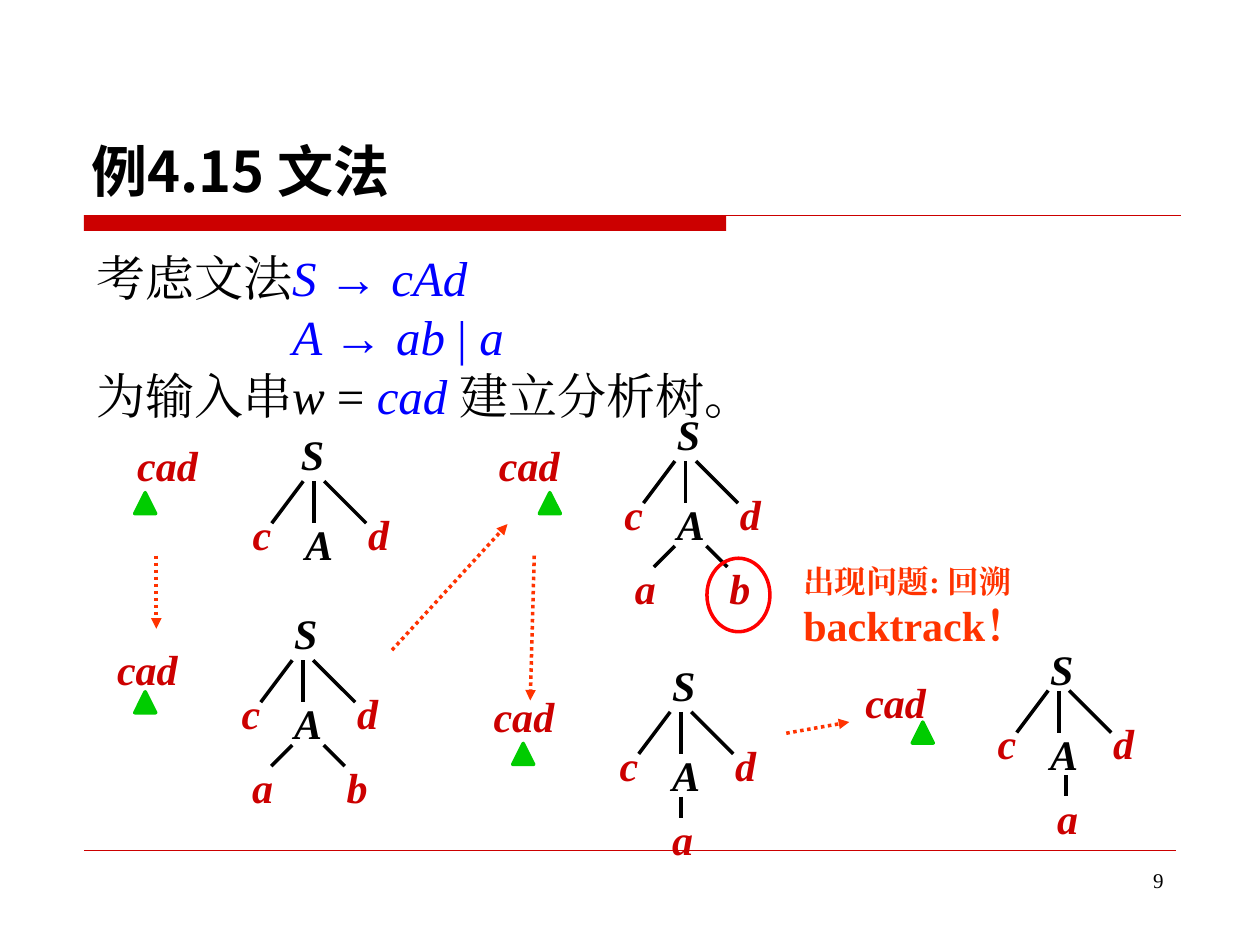
"""Build the slide on parsing the string cad with backtracking."""
from lxml.etree import SubElement
from pptx import Presentation
from pptx.dml.color import RGBColor
from pptx.enum.dml import MSO_LINE
from pptx.enum.shapes import MSO_CONNECTOR, MSO_SHAPE
from pptx.enum.text import MSO_ANCHOR, PP_ALIGN
from pptx.oxml.ns import qn
from pptx.util import Pt

BLACK, RED, BLUE, GREEN, ORANGE = "000000", "CC0000", "0000FF", "00CC00", "FF3300"


def colour(value):
    return RGBColor.from_string(value)


class Board:
    serif, sans, symbols = "Times New Roman", "Noto Sans CJK SC", "Arial"

    def __init__(self, slide):
        self.slide = slide

    def style(self, run, size, ink, bold=False, italic=False, face=serif):
        font = run.font
        font.size, font.bold, font.italic, font.name = Pt(size), bold, italic, face
        font.color.rgb = colour(ink)
        SubElement(run.font._element, qn("a:ea")).set("typeface", face)

    def text(self, left, top, width, height, paragraphs, align=PP_ALIGN.LEFT, anchor=MSO_ANCHOR.TOP):
        box = self.slide.shapes.add_textbox(Pt(left), Pt(top), Pt(width), Pt(height))
        frame = box.text_frame
        frame.word_wrap = True
        frame.vertical_anchor = anchor
        for index, (indent, runs) in enumerate(paragraphs):
            paragraph = frame.add_paragraph() if index else frame.paragraphs[0]
            paragraph.alignment = align
            if indent:
                properties = paragraph._p.get_or_add_pPr()
                properties.set("marL", str(Pt(indent)))
                properties.set("indent", "0")
            for words, look in runs:
                run = paragraph.add_run()
                run.text = words
                self.style(run, **look)

    def symbol(self, words, left, top, ink=RED, width=24):
        look = dict(size=24, ink=ink, bold=True, italic=True)
        self.text(left, top, width, 36, [(0, [(words, look)])])

    def shape(self, kind, left, top, width, height, fill=None, line=None):
        shape = self.slide.shapes.add_shape(kind, Pt(left), Pt(top), Pt(width), Pt(height))
        shape.shadow.inherit = False
        if fill:
            shape.fill.solid()
            shape.fill.fore_color.rgb = colour(fill)
        else:
            shape.fill.background()
        if line:
            shape.line.color.rgb = colour(line)
            shape.line.width = Pt(2)
        else:
            shape.line.fill.background()

    def line(self, x1, y1, x2, y2, ink=BLACK, width=2):
        connector = self.slide.shapes.add_connector(
            MSO_CONNECTOR.STRAIGHT, Pt(x1), Pt(y1), Pt(x2), Pt(y2))
        connector.line.color.rgb = colour(ink)
        connector.line.width = Pt(width)
        SubElement(connector._element.spPr, qn("a:effectLst"))
        return connector

    def step(self, *ends):
        arrow = self.line(*ends, ink=ORANGE)
        arrow.line.dash_style = MSO_LINE.ROUND_DOT
        SubElement(arrow.line._get_or_add_ln(), qn("a:tailEnd")).set("type", "triangle")

    def scanned_input(self, left, top, marker_left, marker_top):
        self.symbol("cad", left, top, width=54)
        self.shape(MSO_SHAPE.ISOSCELES_TRIANGLE, marker_left, marker_top, 12, 12, GREEN, GREEN)

    def tree(self, x, y, leaves="", root_shift=(0, 0), leaf_shift=0):
        self.symbol("S", x - 12 + root_shift[0], y - 33.5 + root_shift[1], BLACK)
        self.symbol("c", x - 42, y + 12)
        self.symbol("d", x + 24, y + 12)
        self.symbol("A", x - 12, y + 18, BLACK, 36)
        for start, end in ((-6, -24), (0, 0), (6, 30)):
            self.line(x + start, y, x + end, y + 24)
        if leaves == "ab":
            branches = (("a", -36, -6, -18), ("b", 18, 12, 24))
        else:
            branches = [(leaf, leaf_shift - 12, leaf_shift, leaf_shift) for leaf in leaves]
        for leaf, left, start, end in branches:
            self.symbol(leaf, x + left, y + 54.5)
            self.line(x + start, y + 48.5, x + end, y + 60.5)


def main():
    deck = Presentation()
    deck.slide_width, deck.slide_height = Pt(720), Pt(540)
    board = Board(deck.slides.add_slide(deck.slide_layouts[6]))

    board.shape(MSO_SHAPE.RECTANGLE, 48, 123, 367, 9, RED)
    board.line(48, 123, 675, 123, RED, 0.75)
    board.line(48, 486, 672, 486, RED, 0.25)
    page_look = dict(size=12, ink=BLACK)
    board.text(516, 492, 156, 37.5, [(0, [("9", page_look)])], PP_ALIGN.RIGHT)
    title_look = dict(size=32, ink=BLACK, bold=True, face=Board.sans)
    board.text(45, 24, 630, 96, [(0, [("例4.15 文法", title_look)])], anchor=MSO_ANCHOR.BOTTOM)

    plain = dict(size=28, ink=BLACK)
    variable = dict(plain, italic=True)
    rule = dict(plain, ink=BLUE)
    grammar = dict(rule, italic=True)
    arrow = dict(rule, face=Board.symbols)
    board.text(48, 138, 600, 108, [
        (0, [("考虑文法", plain), ("S ", grammar), ("→ ", arrow), ("cAd", grammar)]),
        (112, [("A ", grammar), ("→ ", arrow), ("ab", grammar), (" | ", rule), ("a", grammar)]),
        (0, [("为输入串", plain), ("w", variable), (" = ", plain), ("cad ", grammar),
             ("建立分析树。", plain)]),
    ])

    stages = (
        ((71.3, 247.7, 77, 281.5), dict(x=179.3, y=275, root_shift=(-2.5, 0))),
        ((59.8, 364.3, 77, 395.3), dict(x=173, y=377.3, leaves="ab")),
        ((275, 391, 293, 424.8), dict(x=389, y=406.8, leaves="a")),
        ((278, 247.7, 308.2, 281.5), dict(x=391.7, y=263.5, leaves="ab")),
        ((487.4, 383, 521.3, 412.6),
         dict(x=605, y=394.6, leaves="a", root_shift=(0, 3), leaf_shift=4)),
    )
    for scan, tree in stages:
        board.scanned_input(*scan)
        board.tree(**tree)

    for ends in ((89.3, 317.5, 89.3, 359.3), (224, 371.5, 290, 299.5),
                 (305.3, 317.5, 303, 400.3), (449.3, 419, 485.3, 412.6)):
        board.step(*ends)

    board.shape(MSO_SHAPE.OVAL, 404, 319, 36, 42, line="FF0000")
    warning = dict(size=18, ink=ORANGE, bold=True)
    board.text(452, 317.5, 180, 57.6, [
        (0, [("出现问题: 回溯", warning), ("backtrack！", dict(warning, size=24))])])

    deck.save("out.pptx")


if __name__ == "__main__":
    main()
